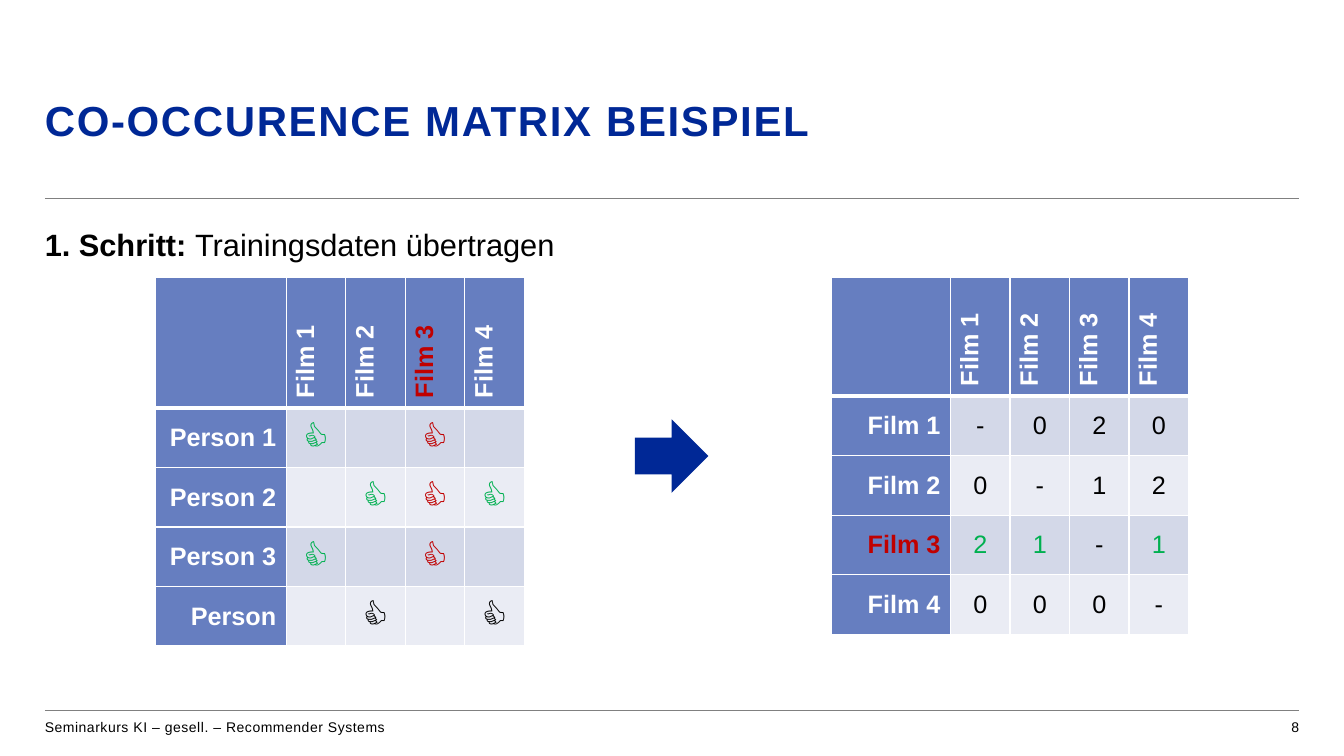
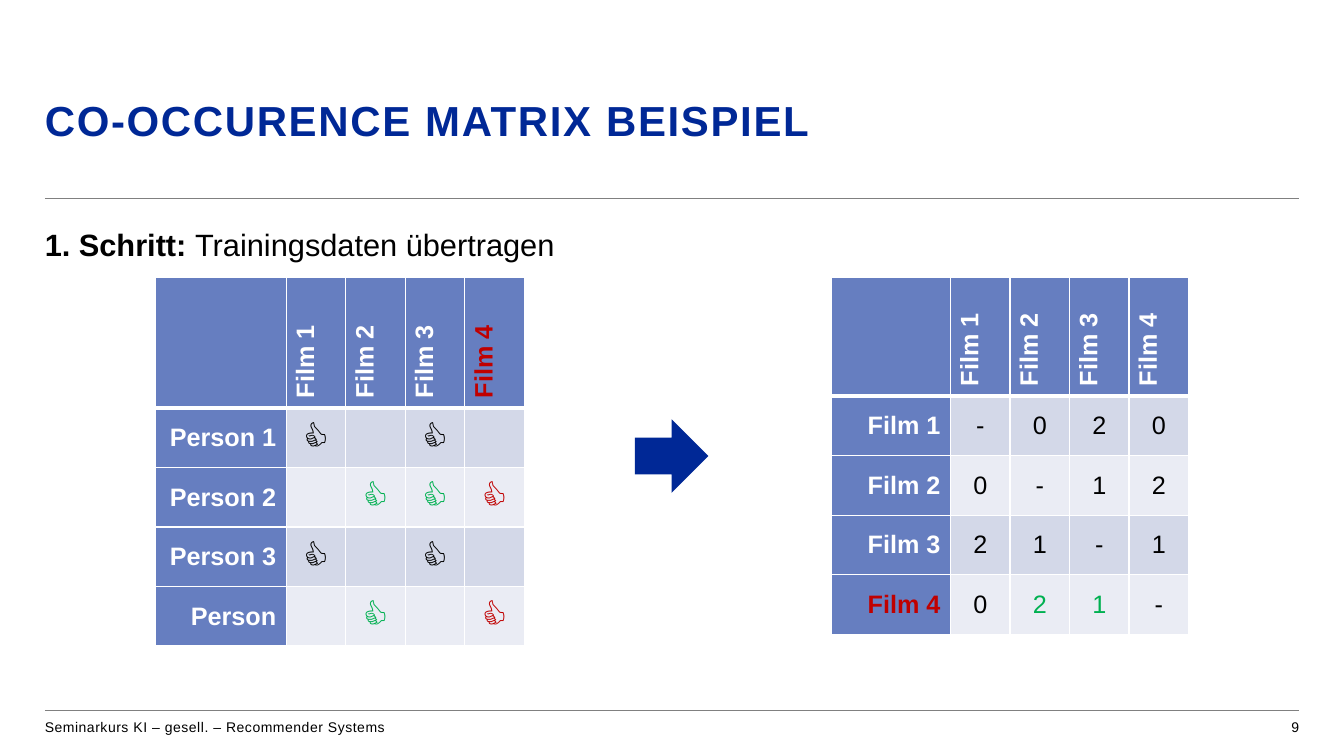
from dataclasses import dataclass

from lxml.etree import SubElement
from pptx import Presentation
from pptx.dml.color import RGBColor
from pptx.enum.shapes import MSO_CONNECTOR, MSO_SHAPE
from pptx.enum.text import MSO_ANCHOR, MSO_AUTO_SIZE, PP_ALIGN
from pptx.oxml.ns import qn
from pptx.util import Pt


@dataclass(frozen=True)
class Theme:
    font: str = "Arial"
    navy: str = "002896"
    header: str = "667EC0"
    bands: tuple = ("D3D8E8", "EAECF4")
    white: str = "FFFFFF"
    black: str = "000000"
    red: str = "C00000"
    green: str = "00B050"
    rule: str = "808080"
    title_size: int = 30
    lead_size: int = 22
    cell_size: int = 18
    thumb_size: int = 28
    footer_size: int = 10


theme = Theme()


def put(target, values):
    for name, value in values.items():
        setattr(target, name, value)


def write(para, words, size, color, bold=False, spacing=0):
    span = para.add_run()
    span.text = words
    put(span.font, {"name": theme.font, "size": Pt(size), "bold": bold})
    span.font.color.rgb = RGBColor.from_string(color)
    if spacing:
        span.font._element.set("spc", str(spacing))


deck = Presentation()
put(deck, {"slide_width": Pt(960), "slide_height": Pt(540)})

left, right = 32, 928
width = right - left
cell_side = 42.5
thumb = "👍"
films = [f"Film {number}" for number in range(1, 5)]
people = ["Person 1", "Person 2", "Person 3", "Person"]
likes = [{0, 2}, {1, 2, 3}, {0, 2}, {1, 3}]
shared_counts = ["-020", "0-12", "21-1"]
steps = [
    {"number": 8, "focus": 2, "last_counts": "000-"},
    {"number": 9, "focus": 3, "last_counts": "021-"},
]
frame_format = {
    "margin_left": 0, "margin_top": 0, "margin_right": 0, "margin_bottom": 0,
    "word_wrap": True, "auto_size": MSO_AUTO_SIZE.NONE, "vertical_anchor": MSO_ANCHOR.TOP,
}

for step in steps:
    page = deck.slides.add_slide(deck.slide_layouts[1])
    focus = step["focus"]

    for y in (507.5, 142):
        line = page.shapes.add_connector(MSO_CONNECTOR.STRAIGHT, Pt(left), Pt(y), Pt(right), Pt(y))
        line.line.width = Pt(0.5)
        line.line.color.rgb = RGBColor.from_string(theme.rule)
        SubElement(line._element.spPr, qn("a:effectLst"))

    title, body = page.placeholders
    footer = page.shapes.add_textbox(Pt(left), Pt(513.5), Pt(581), Pt(17))
    page_number = page.shapes.add_textbox(Pt(right - 150), Pt(513.5), Pt(150), Pt(17))
    put(title, {"left": Pt(left), "top": Pt(70.5), "width": Pt(width), "height": Pt(68)})
    put(body, {"left": Pt(left), "top": Pt(160), "width": Pt(width), "height": Pt(331)})
    for box in (title, body, footer, page_number):
        put(box.text_frame, frame_format)
        box.text_frame.paragraphs[0].alignment = PP_ALIGN.LEFT

    para = title.text_frame.paragraphs[0]
    para.line_spacing = 0.94
    write(para, "CO-OCCURENCE MATRIX BEISPIEL", theme.title_size, theme.navy, True, 120)

    para = body.text_frame.paragraphs[0]
    put(para, {"line_spacing": 1.05, "space_before": Pt(0), "space_after": Pt(20)})
    properties = para._p.get_or_add_pPr()
    for name in ("marL", "indent"):
        properties.set(name, "0")
    SubElement(properties, qn("a:buNone"))
    write(para, "1. Schritt: ", theme.lead_size, theme.black, True)
    write(para, "Trainingsdaten übertragen", theme.lead_size, theme.black)

    write(footer.text_frame.paragraphs[0], "Seminarkurs KI – gesell. – Recommender Systems",
          theme.footer_size, theme.black, spacing=40)
    para = page_number.text_frame.paragraphs[0]
    para.alignment = PP_ALIGN.RIGHT
    write(para, str(step["number"]), theme.footer_size, theme.black)

    count_rows = [
        [(count, theme.green if row == focus and count not in "-0" else theme.black)
         for count in counts]
        for row, counts in enumerate(shared_counts + [step["last_counts"]])
    ]
    like_rows = [
        [(thumb if film in liked else "",
          theme.black if focus not in liked else theme.red if film == focus else theme.green)
         for film in range(len(films))]
        for liked in likes
    ]
    matrices = [
        {"left": 594, "head": 85, "labels": films, "rows": count_rows,
         "size": theme.cell_size, "red_cell": (focus + 1, 0)},
        {"left": 111, "head": 93.5, "labels": people, "rows": like_rows,
         "size": theme.thumb_size, "red_cell": (0, focus + 1)},
    ]

    for matrix in matrices:
        side = matrix["head"] + cell_side * len(films)
        table = page.shapes.add_table(
            len(matrix["labels"]) + 1, len(films) + 1,
            Pt(matrix["left"]), Pt(198), Pt(side), Pt(side)).table
        for index in range(len(films) + 1):
            length = Pt(cell_side if index else matrix["head"])
            table.columns[index].width = length
            table.rows[index].height = length

        grid = [[("", theme.white)] + [(film, theme.white) for film in films]]
        for label, values in zip(matrix["labels"], matrix["rows"]):
            grid.append([(label, theme.white)] + values)

        for row, entries in enumerate(grid):
            for column, (words, color) in enumerate(entries):
                cell = table.cell(row, column)
                heading = row == 0 or column == 0
                cell.vertical_anchor = MSO_ANCHOR.MIDDLE
                properties = cell._tc.get_or_add_tcPr()
                for edge in ("L", "R", "T", "B"):
                    heavy = (row, edge) in ((0, "B"), (1, "T"))
                    border = SubElement(properties, qn(f"a:ln{edge}"), w=str(Pt(3 if heavy else 1)))
                    paint = SubElement(border, qn("a:solidFill"))
                    SubElement(paint, qn("a:srgbClr"), val=theme.white)
                cell.fill.solid()
                fill = theme.header if heading else theme.bands[(row - 1) % 2]
                cell.fill.fore_color.rgb = RGBColor.from_string(fill)
                if not words:
                    continue
                para = cell.text_frame.paragraphs[0]
                if row == 0:
                    properties.set("vert", "vert270")
                else:
                    para.alignment = PP_ALIGN.CENTER if column else PP_ALIGN.RIGHT
                if (row, column) == matrix["red_cell"]:
                    color = theme.red
                write(para, words, theme.cell_size if heading else matrix["size"], color, heading)

    arrow = page.shapes.add_shape(MSO_SHAPE.RIGHT_ARROW, Pt(453.5), Pt(299.5), Pt(52.5), Pt(52.5))
    arrow.shadow.inherit = False
    arrow.fill.solid()
    arrow.fill.fore_color.rgb = RGBColor.from_string(theme.navy)
    arrow.line.fill.background()

deck.save("out.pptx")
